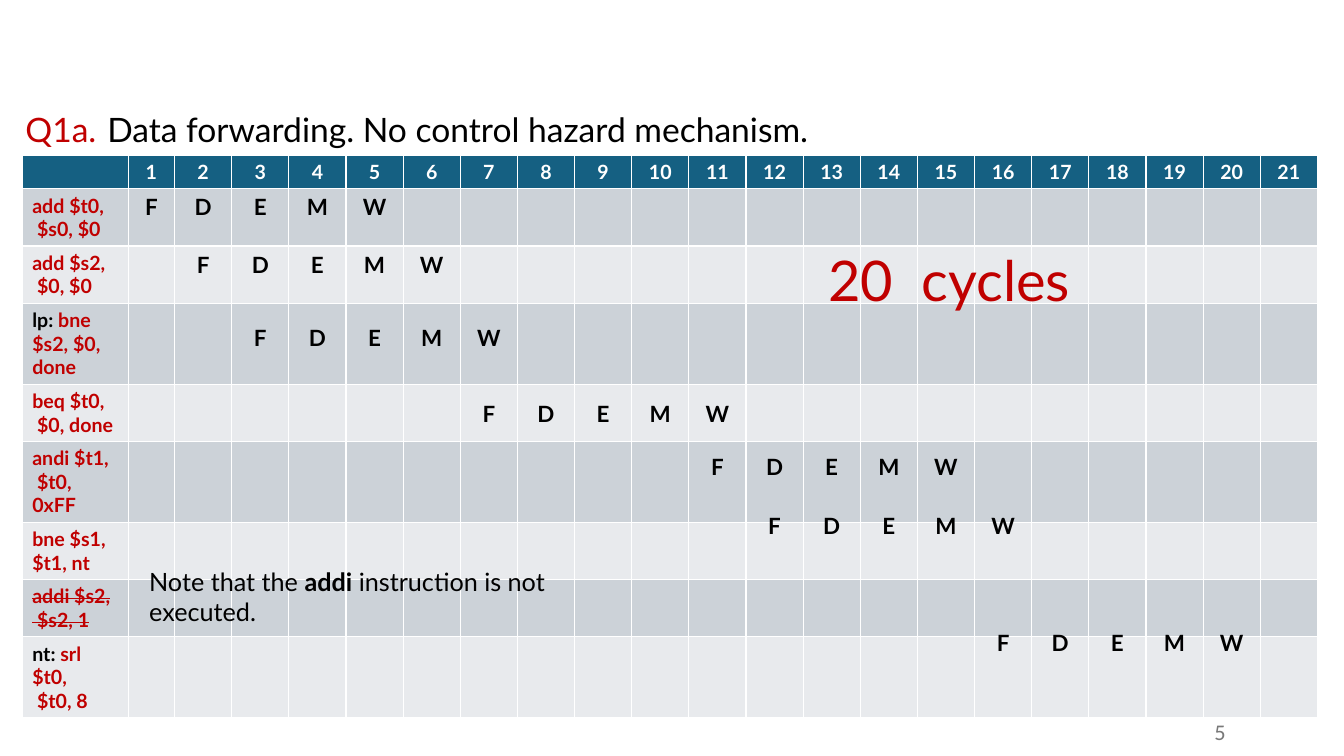
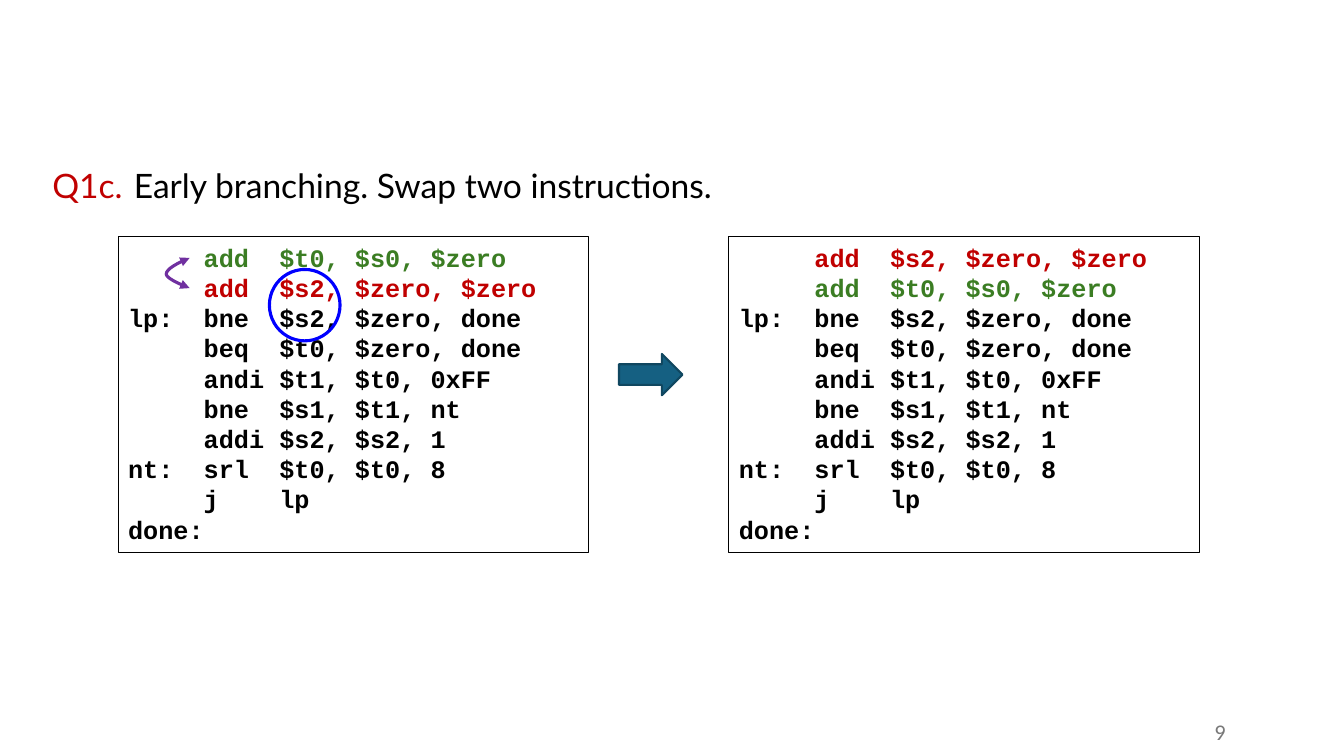
import pptx
import pptx.dml.color
import pptx.enum.shapes
import pptx.enum.text
import pptx.util
from lxml import etree

Cm, Pt = pptx.util.Cm, pptx.util.Pt
RGBColor = pptx.dml.color.RGBColor
MSO_SHAPE = pptx.enum.shapes.MSO_SHAPE
PP_ALIGN = pptx.enum.text.PP_ALIGN
MSO_ANCHOR = pptx.enum.text.MSO_ANCHOR

BLACK = RGBColor(0x00, 0x00, 0x00)
WHITE = RGBColor(0xFF, 0xFF, 0xFF)
RED = RGBColor(0xC0, 0x00, 0x00)
GREEN = RGBColor(0x3B, 0x7D, 0x23)
BLUE = RGBColor(0x00, 0x00, 0xFF)
PURPLE = RGBColor(0x70, 0x30, 0xA0)
GREY = RGBColor(0x79, 0x79, 0x79)
TEAL = RGBColor(0x15, 0x60, 0x82)
DARK_TEAL = RGBColor(0x10, 0x47, 0x60)
BANDS = (RGBColor(0xCC, 0xD2, 0xD8), RGBColor(0xE8, 0xEA, 0xED))

BODY_FONT, CODE_FONT, NUMBER_FONT = "Lato", "Courier New", "Calibri"

TABLE_LEFT, TABLE_TOP = 0.56, 3.91
LABEL_W, FIRST_CYCLE_W, CYCLE_W = 2.67, 1.17, 1.44
CYCLES = 21
HEADER_H, TWO_LINES_H, THREE_LINES_H = 0.83, 1.44, 2.04

# Paragraphs of each instruction, row height
INSTRUCTIONS = [
    (["add $t0,", " $s0, $0"], TWO_LINES_H),
    (["add $s2,", " $0, $0"], TWO_LINES_H),
    ([[("lp: ", BLACK), ("bne $s2, $0, done", RED)]], THREE_LINES_H),
    (["beq $t0,", " $0, done"], TWO_LINES_H),
    (["andi $t1,", " $t0, 0xFF"], THREE_LINES_H),
    (["bne $s1, $t1, nt"], TWO_LINES_H),
    (["addi $s2,", " $s2, 1"], TWO_LINES_H),
    ([[("nt: ", BLACK), ("srl $t0,", RED)], " $t0, 8"], THREE_LINES_H),
]
SKIPPED_ROW = 7
# Row, first cycle, stages typed into the cells
CELL_STAGES = [(1, 1, "FDEMW"), (2, 2, "FD")]
# Top, first cycle, stages laid over the table
FLOATING_STAGES = [
    (6.2, 4, "EMW"),
    (8.05, 3, "FDEMW"),
    (9.95, 7, "FDEMW"),
    (11.3, 11, "FDEMW"),
    (12.77, 12, "FDEMW"),
    (15.72, 16, "FDEMW"),
]

ADD_T0 = [("     add  $t0, $s0, $zero", GREEN)]
ADD_S2 = [("     add  $s2, $zero, $zero", RED)]
LOOP = [
    "lp:  bne  $s2, $zero, done",
    "     beq  $t0, $zero, done",
    "     andi $t1, $t0, 0xFF",
    "     bne  $s1, $t1, nt",
    "     addi $s2, $s2, 1",
    "nt:  srl  $t0, $t0, 8",
    "     j    lp",
    "done:",
]


def write(tf, paragraphs, size, color=BLACK, font=BODY_FONT, bold=False,
          align=PP_ALIGN.LEFT):
    """Fill a text frame; a paragraph is a string or a list of (text, colour)."""
    for i, content in enumerate(paragraphs):
        p = tf.add_paragraph() if i else tf.paragraphs[0]
        p.alignment = align
        parts = [(content, color)] if isinstance(content, str) else content
        for text, part_color in parts:
            r = p.add_run()
            r.text = text
            r.font.name = font
            r.font.size = Pt(size)
            r.font.bold = bold
            r.font.color.rgb = part_color


def add_text(s, left, top, width, height, paragraphs, size, **style):
    box = s.shapes.add_textbox(Cm(left), Cm(top), Cm(width), Cm(height))
    box.text_frame.word_wrap = True
    write(box.text_frame, paragraphs, size, **style)
    return box


def set_line(sp, color, width):
    sp.line.color.rgb = color
    sp.line.width = Pt(width)


def add_question_slide(prs, label, title, left, top, number):
    s = prs.slides.add_slide(prs.slide_layouts[5])
    sp = s.shapes.title
    sp.left, sp.top, sp.width, sp.height = Cm(left + 2.17), Cm(top), Cm(22.96), Cm(1.27)
    tf = sp.text_frame
    tf.auto_size = pptx.enum.text.MSO_AUTO_SIZE.NONE
    tf.vertical_anchor = MSO_ANCHOR.TOP
    write(tf, [title], 24)
    add_text(s, left, top, 2.51, 1.27, [label], 24, color=RED, align=PP_ALIGN.CENTER)
    box = add_text(s, 27.51, 17.93, 3.63, 1.02, [number], 16, color=GREY,
                   font=NUMBER_FONT, align=PP_ALIGN.RIGHT)
    box.text_frame.vertical_anchor = MSO_ANCHOR.MIDDLE
    return s


def add_pipeline_table(s):
    heights = [HEADER_H] + [height for _, height in INSTRUCTIONS]
    widths = [LABEL_W, FIRST_CYCLE_W] + [CYCLE_W] * (CYCLES - 1)
    table = s.shapes.add_table(len(heights), len(widths), Cm(TABLE_LEFT), Cm(TABLE_TOP),
                               Cm(sum(widths)), Cm(sum(heights))).table
    for column, width in zip(table.columns, widths):
        column.width = Cm(width)
    for i, (row, height) in enumerate(zip(table.rows, heights)):
        row.height = Cm(height)
        for cell in row.cells:
            cell.fill.solid()
            cell.fill.fore_color.rgb = BANDS[(i - 1) % 2] if i else TEAL

    # The empty corner must not be taller than the other header cells
    corner = table.cell(0, 0).text_frame.paragraphs[0]
    etree.SubElement(corner._p, pptx.oxml.ns.qn("a:endParaRPr"), sz="1400")
    for cycle in range(1, CYCLES + 1):
        write(table.cell(0, cycle).text_frame, [str(cycle)], 14, color=WHITE, bold=True,
              align=PP_ALIGN.CENTER)
    for i, (paragraphs, _) in enumerate(INSTRUCTIONS, 1):
        write(table.cell(i, 0).text_frame, paragraphs, 14, color=RED, bold=True)
    for p in table.cell(SKIPPED_ROW, 0).text_frame.paragraphs:
        for r in p.runs:
            r._r.get_or_add_rPr().set("strike", "sngStrike")
    for i, start, stages in CELL_STAGES:
        for cycle, stage in enumerate(stages, start):
            write(table.cell(i, cycle).text_frame, [stage], 16, bold=True,
                  align=PP_ALIGN.CENTER)


def add_floating_stages(s, top, start, stages):
    """Centre one letter over each cycle column from the start cycle on."""
    width = 1.5
    second_cycle = TABLE_LEFT + LABEL_W + FIRST_CYCLE_W
    for cycle, stage in enumerate(stages, start):
        center = second_cycle + (cycle - 1.5) * CYCLE_W
        add_text(s, center - width / 2, top, width, 0.94, [stage], 16, bold=True,
                 align=PP_ALIGN.CENTER)


def add_code(s, left, lines):
    box = add_text(s, left, 5.97, 11.86, 7.95, lines, 18, font=CODE_FONT, bold=True)
    set_line(box, BLACK, 0.75)


def add_preset(s, shape, left, top, width, height, fill, line, line_width):
    sp = s.shapes.add_shape(shape, Cm(left), Cm(top), Cm(width), Cm(height))
    sp.shadow.inherit = False
    if fill is None:
        sp.fill.background()
    else:
        sp.fill.solid()
        sp.fill.fore_color.rgb = fill
    set_line(sp, line, line_width)


def curve_points(start, control_1, control_2, end, steps=8):
    """Points after the start on a cubic curve, in EMU."""
    points = []
    for i in range(1, steps + 1):
        t = i / steps
        weights = ((1 - t) ** 3, 3 * t * (1 - t) ** 2, 3 * t ** 2 * (1 - t), t ** 3)
        points.append(tuple(
            Cm(sum(w * v for w, v in zip(weights, values)))
            for values in zip(start, control_1, control_2, end)))
    return points


def add_swap_arrow(s):
    top, middle, bottom = (4.78, 6.5), (4.19, 6.91), (4.78, 7.26)
    builder = s.shapes.build_freeform(Cm(top[0]), Cm(top[1]))
    builder.add_line_segments(
        curve_points(top, (4.47, 6.63), (4.19, 6.78), middle)
        + curve_points(middle, (4.19, 7.04), (4.78, 7.26), bottom), close=False)
    sp = builder.convert_to_shape()
    sp.shadow.inherit = False
    sp.fill.background()
    set_line(sp, PURPLE, 2.25)
    ln = sp.line._get_or_add_ln()
    for end in ("a:headEnd", "a:tailEnd"):
        etree.SubElement(ln, pptx.oxml.ns.qn(end), type="triangle")


def build_forwarding(prs):
    s = add_question_slide(prs, "Q1a.", "Data forwarding. No control hazard mechanism.",
                           0.28, 2.62, "5")
    add_pipeline_table(s)
    for top, start, stages in FLOATING_STAGES:
        add_floating_stages(s, top, start, stages)
    add_text(s, 20.4, 6.07, 7.04, 1.96, ["20  cycles"], 40, color=RED,
             align=PP_ALIGN.CENTER)
    note = [("Note that the ", BLACK), ("addi", BLACK),
            (" instruction is not executed.", BLACK)]
    box = add_text(s, 3.51, 14.15, 13.16, 1.07, [note], 18)
    box.text_frame.paragraphs[0].runs[1].font.bold = True


def build_early_branching(prs):
    s = add_question_slide(prs, "Q1c.", "Early branching. Swap two instructions.",
                           0.95, 4.04, "9")
    add_code(s, 2.98, [ADD_T0, ADD_S2] + LOOP)
    add_code(s, 18.37, [ADD_S2, ADD_T0] + LOOP)
    add_preset(s, MSO_SHAPE.RIGHT_ARROW, 15.6, 8.92, 1.6, 1.04, TEAL, DARK_TEAL, 1.5)
    add_preset(s, MSO_SHAPE.OVAL, 6.79, 6.79, 1.78, 1.8, None, BLUE, 2.25)
    add_swap_arrow(s)


def main():
    prs = pptx.Presentation()
    prs.slide_width, prs.slide_height = Cm(33.87), Cm(19.05)
    build_forwarding(prs)
    build_early_branching(prs)
    prs.save("out.pptx")


if __name__ == "__main__":
    main()
